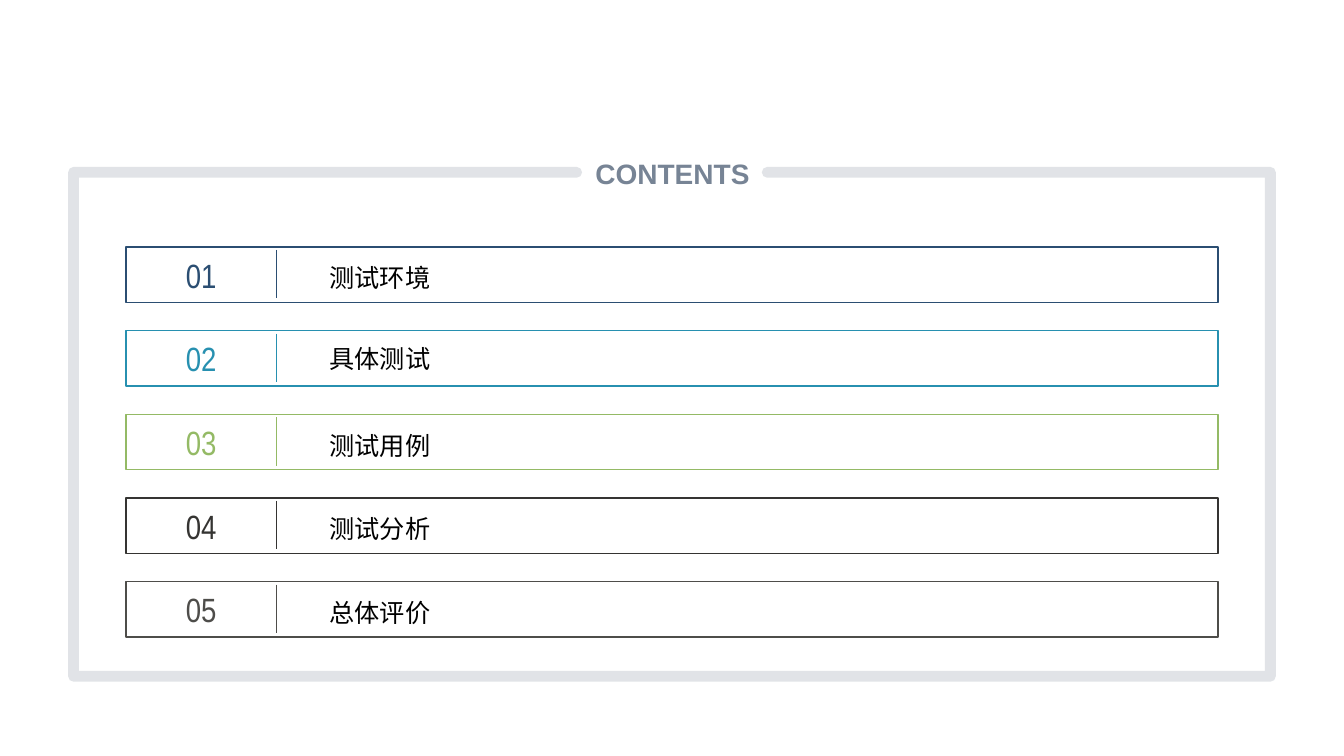
from lxml import etree
from pptx import Presentation
from pptx.dml.color import RGBColor
from pptx.enum.shapes import MSO_CONNECTOR, MSO_SHAPE
from pptx.enum.text import MSO_ANCHOR, MSO_AUTO_SIZE, PP_ALIGN
from pptx.oxml.ns import qn
from pptx.util import Inches, Pt

SLATE = RGBColor(0x77, 0x84, 0x95)
NAVY = RGBColor(0x2B, 0x4E, 0x72)
TEAL = RGBColor(0x27, 0x90, 0xB0)
GREEN = RGBColor(0x94, 0xBA, 0x65)
CHARCOAL = RGBColor(0x35, 0x34, 0x32)
GREY = RGBColor(0x4E, 0x4D, 0x4A)
BLACK = RGBColor(0, 0, 0)

HEADING = "CONTENTS"
# chapter, colour, line spacing
CHAPTERS = [
    ("测试环境", NAVY, 1.2),
    ("具体测试", TEAL, 1.0),
    ("测试用例", GREEN, 1.2),
    ("测试分析", CHARCOAL, 1.2),
    ("总体评价", GREY, 1.2),
]

# Inches
LEFT, TOP, ROW_W, ROW_H, PITCH = 1.25, 2.45, 10.83, 0.55, 0.83
NUMBER_W, NAME_INDENT = 1.49, 1.92
FRAME_L, FRAME_T, FRAME_R, FRAME_B = 0.73, 1.71, 12.6, 6.71
GAP_L, GAP_R = 5.72, 7.61


def write(shape, text, size, font, color, align, bold=False, spacing=None):
    """Put one formatted, vertically centred line of text in a shape."""
    tf = shape.text_frame
    tf.text = text
    tf.word_wrap = True
    tf.auto_size = MSO_AUTO_SIZE.NONE
    tf.vertical_anchor = MSO_ANCHOR.MIDDLE
    p = tf.paragraphs[0]
    p.alignment = align
    p.line_spacing = spacing
    f = p.runs[0].font
    f.size, f.name, f.bold = Pt(size), font, bold
    f.color.rgb = color


def add_heading(s):
    """Place the title in the gap of the frame."""
    title = s.shapes.title
    title.left, title.top = Inches(5.81), Inches(1.38)
    title.width, title.height = Inches(1.72), Inches(0.67)
    tf = title.text_frame
    tf.margin_left = tf.margin_right = tf.margin_top = tf.margin_bottom = 0
    write(title, HEADING, 20, "Arial", SLATE, PP_ALIGN.CENTER, bold=True)


def add_frame(s):
    """Draw the pale open frame with rounded ends and corners."""
    corners = [(FRAME_R, FRAME_T), (FRAME_R, FRAME_B), (FRAME_L, FRAME_B),
               (FRAME_L, FRAME_T), (GAP_L, FRAME_T)]
    builder = s.shapes.build_freeform(Inches(GAP_R), Inches(FRAME_T))
    builder.add_line_segments([(Inches(x), Inches(y)) for x, y in corners], close=False)
    frame = builder.convert_to_shape()
    frame.shadow.inherit = False
    frame.fill.background()
    frame.line.color.rgb = SLATE
    frame.line.width = Pt(7.75)
    ln = frame.line._get_or_add_ln()
    ln.set("cap", "rnd")
    etree.SubElement(ln.find(".//" + qn("a:srgbClr")), qn("a:alpha"), val="21000")
    etree.SubElement(ln, qn("a:round"))


def add_row(s, index, name, color, spacing):
    """Draw one chapter: box, number, divider and name."""
    top = TOP + index * PITCH
    y, h = Inches(top), Inches(ROW_H)
    box = s.shapes.add_shape(MSO_SHAPE.RECTANGLE, Inches(LEFT), y, Inches(ROW_W), h)
    box.shadow.inherit = False
    box.fill.background()

    number = s.shapes.add_textbox(Inches(LEFT), y, Inches(NUMBER_W), h)
    write(number, f"{index + 1:02d}", 24, "Arial Narrow", color, PP_ALIGN.CENTER)

    x = Inches(LEFT + NUMBER_W)
    divider = s.shapes.add_connector(MSO_CONNECTOR.STRAIGHT, x, Inches(top + 0.03),
                                     x, Inches(top + 0.51))
    etree.SubElement(divider._element.spPr, qn("a:effectLst"))
    for shape in (box, divider):
        shape.line.color.rgb = color
        shape.line.width = Pt(1)
    # effects must follow the line in the shape properties
    sp_pr = divider._element.spPr
    sp_pr.append(sp_pr.find(qn("a:effectLst")))

    label = s.shapes.add_textbox(Inches(LEFT + NAME_INDENT), y,
                                 Inches(ROW_W - NAME_INDENT), h)
    write(label, name, 18, "Arial", BLACK, PP_ALIGN.LEFT, spacing=spacing)


prs = Presentation()
prs.slide_width, prs.slide_height = Inches(13.33), Inches(7.5)
s = prs.slides.add_slide(prs.slide_layouts[5])
add_heading(s)
add_frame(s)
for i, chapter in enumerate(CHAPTERS):
    add_row(s, i, *chapter)
prs.save("out.pptx")
